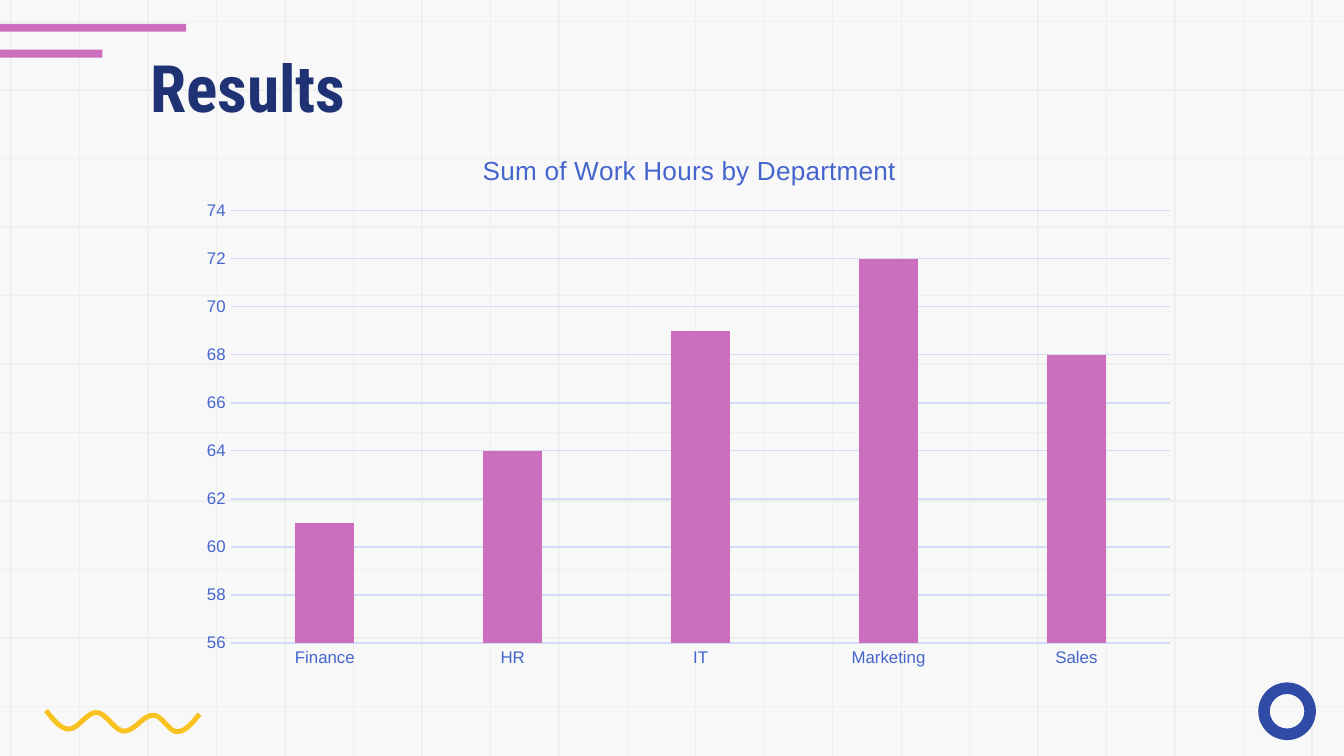
import math
from dataclasses import dataclass

from lxml import etree
from pptx import Presentation
from pptx.chart.data import CategoryChartData
from pptx.dml.color import RGBColor
from pptx.enum.chart import XL_CHART_TYPE, XL_TICK_MARK
from pptx.enum.shapes import MSO_CONNECTOR, MSO_SHAPE
from pptx.enum.text import MSO_ANCHOR, PP_ALIGN
from pptx.oxml import parse_xml
from pptx.oxml.ns import nsdecls, qn
from pptx.util import Cm, Pt

COLUMNS = XL_CHART_TYPE.COLUMN_CLUSTERED
NO_TICK = XL_TICK_MARK.NONE
STRAIGHT = MSO_CONNECTOR.STRAIGHT
RECT, DONUT = MSO_SHAPE.RECTANGLE, MSO_SHAPE.DONUT
CENTER, TOP = PP_ALIGN.CENTER, MSO_ANCHOR.TOP


@dataclass(frozen=True)
class Theme:
    paper: str = "F8F8F8"
    grid: str = "EFEFEF"
    navy: str = "1F3374"
    blue: str = "304BA6"
    label: str = "4565CD"
    rule: str = "D4DBF4"
    pink: str = "CB6EBE"
    yellow: str = "F8C220"
    head_font: str = "Roboto Condensed"
    body_font: str = "Arial"
    title_size: float = 35
    chart_title_size: float = 14
    chart_size: float = 10
    axis_size: float = 9
    hairline: float = 0.75


THEME = Theme()


def rgb(color):
    return RGBColor.from_string(color)


def style_font(font, name, size, color, bold=False):
    font.name, font.size, font.bold = name, Pt(size), bold
    font.color.rgb = rgb(color)


def style_line(line, color):
    line.color.rgb = rgb(color)
    line.width = Pt(THEME.hairline)


def paint(sp, color):
    sp.shadow.inherit = False
    sp.fill.solid()
    sp.fill.fore_color.rgb = rgb(color)
    sp.line.fill.background()


def add_block(s, kind, box, color):
    sp = s.shapes.add_shape(kind, *map(Cm, box))
    paint(sp, color)
    return sp


def add_grid(s, box, first=(0.21, 0.41), step=1.294):
    """Square paper: equally spaced lines across the box."""
    left, top, width, height = box
    right, bottom = left + width, top + height
    lines = []
    for i in range(math.ceil((height - first[1]) / step)):
        y = top + first[1] + i * step
        lines.append((left, y, right, y))
    for i in range(math.ceil((width - first[0]) / step)):
        x = left + first[0] + i * step
        lines.append((x, top, x, bottom))
    for ends in lines:
        c = s.shapes.add_connector(STRAIGHT, *map(Cm, ends))
        style_line(c.line, THEME.grid)
        etree.SubElement(c.element.spPr, qn("a:effectLst"))


def add_stripes(s, box):
    """Two bars at the left edge, the lower one shorter."""
    left, top, width, height = box
    thick = 0.15
    add_block(s, RECT, (left, top, width, thick), THEME.pink)
    add_block(s, RECT, (left, top + height - thick, width * 0.55, thick), THEME.pink)


def add_ring(s, box):
    add_block(s, DONUT, box, THEME.blue).adjustments[0] = 0.2


def add_squiggle(s, box, half=0.047, steps=12):
    """Wavy ribbon that eases between turning points."""
    left, top = box[:2]
    turns = [(0.03, 0.04), (0.46, 0.39), (0.98, 0.08), (1.51, 0.43),
             (2.06, 0.13), (2.51, 0.44), (2.93, 0.11)]
    last = len(turns) - 2
    mid = []
    for i, ((x0, y0), (x1, y1)) in enumerate(zip(turns, turns[1:])):
        for k in range(steps + (i == last)):
            t = k / steps
            if i == 0:
                ease = math.sin(t * math.pi / 2)
            elif i == last:
                ease = 1 - math.cos(t * math.pi / 2)
            else:
                ease = (1 - math.cos(t * math.pi)) / 2
            mid.append((x0 + (x1 - x0) * t, y0 + (y1 - y0) * ease))

    # Offset the centre line to both sides
    upper, lower = [], []
    for i, (x, y) in enumerate(mid):
        (ax, ay), (bx, by) = mid[max(i - 1, 0)], mid[min(i + 1, len(mid) - 1)]
        size = math.hypot(bx - ax, by - ay)
        dx, dy = half * (by - ay) / size, half * (bx - ax) / size
        upper.append((Cm(left + x + dx), Cm(top + y - dy)))
        lower.append((Cm(left + x - dx), Cm(top + y + dy)))
    outline = upper + lower[::-1]
    fb = s.shapes.build_freeform(*outline[0])
    fb.add_line_segments(outline[1:], close=True)
    paint(fb.convert_to_shape(), THEME.yellow)


def add_title(s, box, text):
    tf = s.shapes.add_textbox(*map(Cm, box)).text_frame
    tf.word_wrap, tf.vertical_anchor = True, TOP
    tf.margin_left = tf.margin_right = tf.margin_top = tf.margin_bottom = Cm(0.25)
    p = tf.paragraphs[0]
    p.text, p.alignment = text, CENTER
    style_font(p.runs[0].font, THEME.head_font, THEME.title_size, THEME.navy, True)


def set_layout(parent, after, target="", **place):
    """Fix a chart part at fractions of the chart area."""
    for old in parent.findall(qn("c:layout")):
        parent.remove(old)
    tags = [("layoutTarget", target)] if target else []
    tags += [("xMode", "edge"), ("yMode", "edge"), *place.items()]
    body = "".join(f'<c:{tag} val="{val}"/>' for tag, val in tags)
    layout = parse_xml(f'<c:layout {nsdecls("c")}><c:manualLayout>{body}'
                       '</c:manualLayout></c:layout>')
    if after is None:
        parent.insert(0, layout)
    else:
        after.addnext(layout)


def add_hours_chart(s, box, title, hours):
    data = CategoryChartData()
    data.categories = list(hours)
    data.add_series("Series 1", list(hours.values()))
    chart = s.shapes.add_chart(COLUMNS, *map(Cm, box), data).chart
    chart.has_legend = False
    style_font(chart.font, THEME.body_font, THEME.chart_size, THEME.navy)

    # Heading
    chart.has_title = True
    tf = chart.chart_title.text_frame
    tf.text = title
    style_font(tf.paragraphs[0].runs[0].font, THEME.body_font,
               THEME.chart_title_size, THEME.label)
    chart.chart_title.include_in_layout = False
    heading = chart.chart_title._element
    set_layout(heading, heading.find(qn("c:tx")), x=0.29, y=0.04)

    # Columns
    plot = chart.plots[0]
    plot.gap_width, plot.overlap, plot.vary_by_categories = 219, -27, False
    fill = plot.series[0].format.fill
    fill.solid()
    fill.fore_color.rgb = rgb(THEME.pink)
    area = chart._chartSpace.chart.plotArea
    set_layout(area, None, "inner", x=0.044, y=0.152, w=0.936, h=0.782)

    # Axes
    cat, val = chart.category_axis, chart.value_axis
    for axis in (cat, val):
        axis.major_tick_mark = axis.minor_tick_mark = NO_TICK
        style_font(axis.tick_labels.font, THEME.body_font, THEME.axis_size, THEME.label)
    style_line(cat.format.line, THEME.rule)
    val.format.line.fill.background()
    val.minimum_scale, val.maximum_scale, val.major_unit = 56, 74, 2
    val.has_major_gridlines = True
    style_line(val.major_gridlines.format.line, THEME.rule)


def main():
    prs = Presentation()
    prs.slide_width, prs.slide_height = Cm(25.4), Cm(14.29)
    s = prs.slides.add_slide(prs.slide_layouts[6])
    s.background.fill.solid()
    s.background.fill.fore_color.rgb = rgb(THEME.paper)

    # Backdrop
    add_grid(s, (0, 0, 25.4, 14.29))
    add_ring(s, (23.78, 12.9, 1.09, 1.09))
    add_squiggle(s, (0.84, 13.39))
    add_stripes(s, (0, 0.45, 3.52, 0.64))

    # Content
    add_title(s, (-6.02, 0.64, 21.41, 1.6), "Results")
    add_hours_chart(s, (3.53, 2.39, 18.97, 10.46), "Sum of Work Hours by Department",
                    {"Finance": 61, "HR": 64, "IT": 69, "Marketing": 72, "Sales": 68})
    prs.save("out.pptx")


if __name__ == "__main__":
    main()
